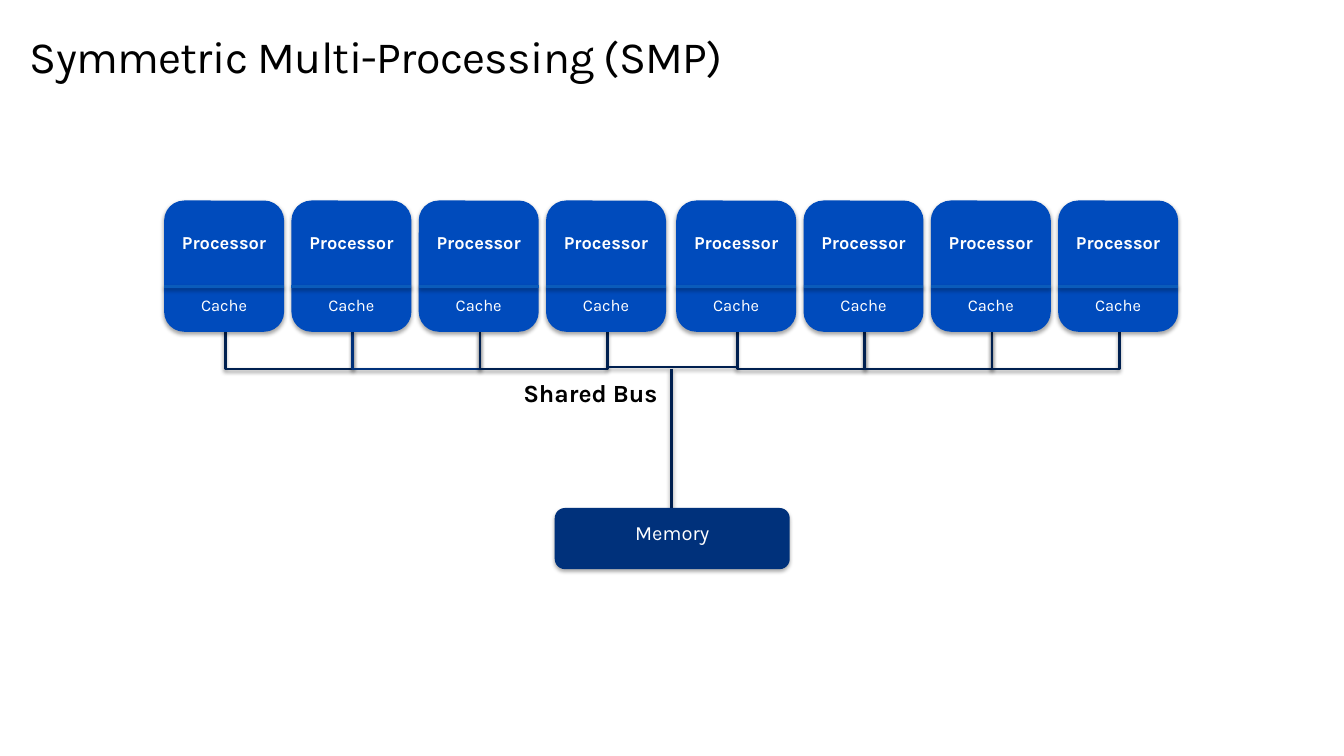
from pptx import Presentation
from pptx.dml.color import RGBColor
from pptx.enum.shapes import MSO_CONNECTOR as Link, MSO_SHAPE as Preset
from pptx.enum.text import MSO_ANCHOR as Anchor, PP_ALIGN as Align
from pptx.oxml import parse_xml
from pptx.oxml.ns import nsdecls, qn
from pptx.util import Pt

BLACK = RGBColor(0x00, 0x00, 0x00)
WHITE = RGBColor(0xFF, 0xFF, 0xFF)
CARD_BLUE = RGBColor(0x00, 0x4B, 0xBC)
DIVIDER_BLUE = RGBColor(0x0A, 0x5B, 0xBA)
MEMORY_BLUE = RGBColor(0x00, 0x31, 0x7B)
BUS_NAVY = RGBColor(0x00, 0x20, 0x50)

TITLE = {"name": "Karla", "size": Pt(32.6), "color": BLACK}
PROCESSOR = {"name": "Karla", "size": Pt(13.3), "bold": True, "color": WHITE}
CACHE = {"name": "Karla", "size": Pt(12), "color": WHITE}
MEMORY = {"name": "Karla", "size": Pt(14.7), "color": WHITE}
BUS_LABEL = {"name": "Karla", "size": Pt(18), "bold": True, "color": BLACK}

CARD_W, CARD_H, CARD_PITCH = 87.4, 95.6, 92.75
CARDS_PER_GROUP = 4
PORT_X = 44.6
DIVIDER_Y = 62.8
BUS_STEP, BUS_DEPTH = 1.5, 28.3


def cast_shadow(part, opacity, distance):
    part._element.spPr.append(parse_xml(
        f'<a:effectLst {nsdecls("a")}><a:outerShdw blurRad="{Pt(3.1)}" '
        f'dist="{Pt(distance)}" dir="5400000" rotWithShape="0">'
        f'<a:srgbClr val="000000"><a:alpha val="{opacity * 1000}"/></a:srgbClr>'
        '</a:outerShdw></a:effectLst>'))


def write_text(slide, wording, box, style, align=Align.CENTER, insets=(7.2, 3.6)):
    label = slide.shapes.add_textbox(*map(Pt, box))
    side, end = map(Pt, insets)
    frame_format = {"word_wrap": True, "vertical_anchor": Anchor.TOP,
                    "margin_left": side, "margin_right": side,
                    "margin_top": end, "margin_bottom": end}
    for attribute, value in frame_format.items():
        setattr(label.text_frame, attribute, value)
    paragraph = label.text_frame.paragraphs[0]
    paragraph.alignment = align
    run = paragraph.add_run()
    run.text = wording
    for attribute, value in style.items():
        if attribute == "color":
            run.font.color.rgb = value
        else:
            setattr(run.font, attribute, value)
    return paragraph


def draw_block(slide, box, fill):
    block = slide.shapes.add_shape(Preset.ROUNDED_RECTANGLE, *map(Pt, box))
    block.fill.solid()
    block.fill.fore_color.rgb = fill
    block.line.fill.background()
    cast_shadow(block, 35, 1.8)


def draw_wire(slide, ends, color, width=2, kind=Link.STRAIGHT):
    wire = slide.shapes.add_connector(kind, *map(Pt, ends))
    wire.line.color.rgb = color
    wire.line.width = Pt(width)
    cast_shadow(wire, 38, 1.6)
    return wire


def draw_bus_bracket(slide, left, top, color):
    center_x = left + CARD_PITCH / 2
    center_y = top + BUS_STEP / 2
    ends = (center_x - BUS_STEP / 2, center_y - CARD_PITCH / 2,
            center_x + BUS_STEP / 2, center_y + CARD_PITCH / 2)
    bracket = draw_wire(slide, ends, color, kind=Link.ELBOW)
    properties = bracket._element.spPr
    turn = properties.find(qn("a:xfrm"))
    turn.set("rot", "16200000")
    turn.set("flipH", "1")
    geometry = properties.find(qn("a:prstGeom"))
    for guides in geometry.findall(qn("a:avLst")):
        geometry.remove(guides)
    depth = round(BUS_DEPTH / BUS_STEP * 100000)
    geometry.append(parse_xml(
        f'<a:avLst {nsdecls("a")}><a:gd name="adj1" fmla="val {depth}"/></a:avLst>'))


def draw_processor(slide, left, top):
    draw_block(slide, (left, top, CARD_W, CARD_H), CARD_BLUE)
    divider = top + DIVIDER_Y
    draw_wire(slide, (left, divider, left + CARD_W, divider), DIVIDER_BLUE)
    write_text(slide, "Processor", (left, top + 18.7, CARD_W, 24), PROCESSOR, insets=(5, 3.6))
    write_text(slide, "Cache", (left + 9.8, top + 65.5, 67.8, 22), CACHE, insets=(5, 3.6))


def draw_processor_group(slide, left, top, bus_colors):
    for position, color in enumerate(bus_colors):
        draw_bus_bracket(slide, left + PORT_X + position * CARD_PITCH, top + 94.5, color)
    for position in range(CARDS_PER_GROUP):
        draw_processor(slide, left + position * CARD_PITCH, top)


def draw_title(slide, box):
    paragraph = write_text(slide, "Symmetric Multi-Processing (SMP)", box, TITLE,
                           Align.LEFT, (0, 0))
    paragraph.line_spacing = Pt(36.9)
    paragraph.runs[0]._r.get_or_add_rPr().set("spc", "-50")


def draw_memory(slide, box):
    left, top, width, height = box
    draw_block(slide, box, MEMORY_BLUE)
    write_text(slide, "Memory", (left + 5.8, top + 5.8, width - 11.6, 25.2), MEMORY)


def draw_shared_bus(slide, left, top, width):
    draw_wire(slide, (left, top, left + width, top), BUS_NAVY, 1.5)
    stem = left + width / 2 - 0.7
    draw_wire(slide, (stem, top + 1, stem, top + 121.8), BUS_NAVY)
    write_text(slide, "Shared Bus", (left - 129.9, top + 3.8, 235.4, 29.5), BUS_LABEL)


def main():
    deck = Presentation()
    deck.slide_width, deck.slide_height = Pt(979.2), Pt(550.8)
    slide = deck.slides.add_slide(deck.slide_layouts[6])
    draw_title(slide, (21.6, 23, 936, 36.9))
    draw_processor_group(slide, 119.6, 146.1, (BUS_NAVY, MEMORY_BLUE, BUS_NAVY))
    draw_processor_group(slide, 492.7, 146.1, (BUS_NAVY,) * 3)
    draw_shared_bus(slide, 442.4, 267.6, 94.9)
    draw_memory(slide, (404.2, 370.1, 171.2, 44.6))
    deck.save("out.pptx")


if __name__ == "__main__":
    main()
